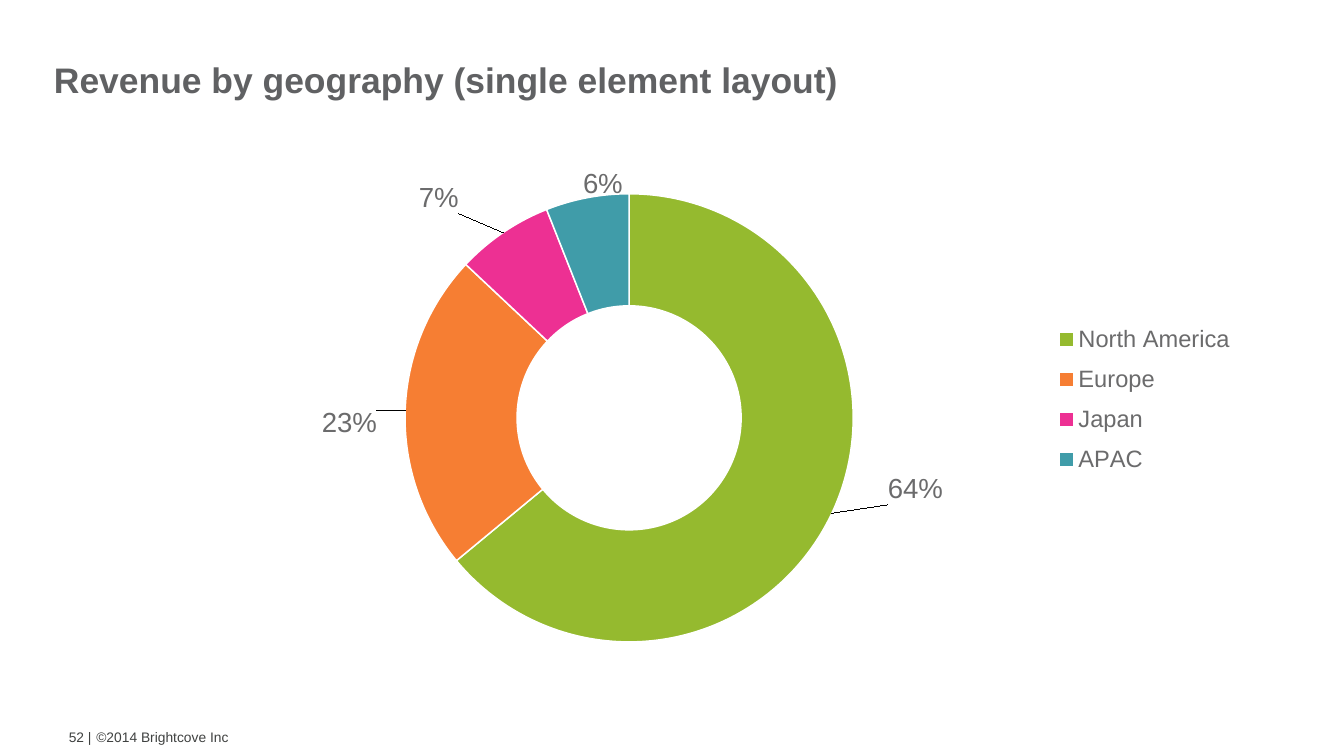
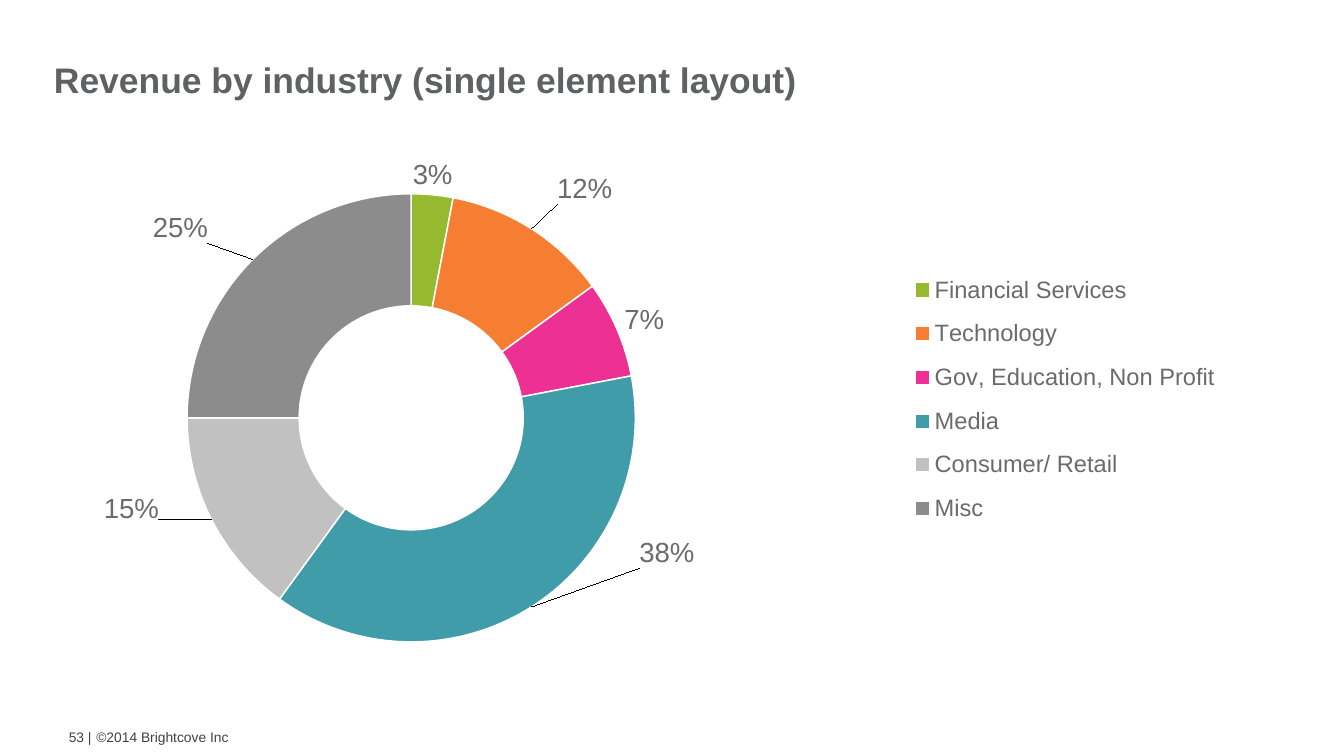
import math

import lxml.etree
import pptx
import pptx.chart.data
import pptx.dml.color
import pptx.enum.chart
import pptx.enum.text
import pptx.oxml.ns
import pptx.util

Inches = pptx.util.Inches
Pt = pptx.util.Pt
RGBColor = pptx.dml.color.RGBColor
qn = pptx.oxml.ns.qn

# Shared look
FONT = "Arial"
TITLE_GRAY = RGBColor(0x60, 0x61, 0x63)
FOOTER_GRAY = RGBColor(0x3F, 0x41, 0x40)
LABEL_GRAY = RGBColor(0x6B, 0x6B, 0x6C)
CHART_GRAY = RGBColor(0x8F, 0x8F, 0x90)
WHITE = RGBColor(0xFF, 0xFF, 0xFF)
SLICE_COLORS = [
    RGBColor(0x95, 0xBA, 0x2F),
    RGBColor(0xF6, 0x7E, 0x33),
    RGBColor(0xED, 0x30, 0x93),
    RGBColor(0x40, 0x9C, 0xA9),
    RGBColor(0xC1, 0xC1, 0xC1),
    RGBColor(0x8C, 0x8C, 0x8C),
]
COPYRIGHT = "©2014 Brightcove Inc"

# Chart geometry in inches
CHART_LEFT, CHART_TOP, CHART_WIDTH, CHART_HEIGHT = 0.59, 1.77, 17.36, 7.72
RING_RADIUS = 3.15
RING_CENTER_Y = 5.9
LABEL_RADIUS = 0.75 * RING_RADIUS

# Slices: name, share, centre of the label on the slide
SLIDES = [
    {
        "title": "Revenue by geography (single element layout)",
        "number": 52,
        "ring_x": 8.89,
        "plot": (0.295, 0.124, 0.364, 0.932),
        "legend": (0.817, 0.342, 0.157, 0.316),
        "slices": [
            ("North America", 0.64, (12.92, 6.91)),
            ("Europe", 0.23, (4.95, 5.98)),
            ("Japan", 0.07, (6.21, 2.81)),
            ("APAC", 0.06, (8.52, 2.61)),
        ],
    },
    {
        "title": "Revenue by industry (single element layout)",
        "number": 53,
        "ring_x": 5.8,
        "plot": (0.118, 0.117, 0.364, 0.932),
        "legend": (0.7, 0.245, 0.262, 0.51),
        "slices": [
            ("Financial Services", 0.03, (6.1, 2.48)),
            ("Technology", 0.12, (8.24, 2.68)),
            ("Gov, Education, Non Profit", 0.07, (9.08, 4.53)),
            ("Media", 0.38, (9.4, 7.8)),
            ("Consumer/ Retail", 0.15, (1.86, 7.18)),
            ("Misc", 0.25, (2.55, 3.23)),
        ],
    },
]


def set_font(font, size, color, bold=False):
    values = {"name": FONT, "size": Pt(size), "bold": bold}
    for name, value in values.items():
        setattr(font, name, value)
    font.color.rgb = color


def format_frame(frame, **values):
    values = {
        "word_wrap": True,
        "vertical_anchor": pptx.enum.text.MSO_ANCHOR.MIDDLE,
        **values,
    }
    for name, value in values.items():
        setattr(frame, name, value)


def place(shape, left, top, width, height):
    values = {"left": left, "top": top, "width": width, "height": height}
    for name, value in values.items():
        setattr(shape, name, Inches(value))


def add_title(page, text):
    title = page.shapes.title
    place(title, 0.59, 0.33, 16.1, 1.59)
    format_frame(
        title.text_frame,
        text=text,
        margin_left=Inches(0.17),
        margin_right=Inches(0.17),
        margin_top=Inches(0.08),
        margin_bottom=Inches(0.08),
    )
    para = title.text_frame.paragraphs[0]
    para.alignment = pptx.enum.text.PP_ALIGN.LEFT
    set_font(para.font, 36, TITLE_GRAY, bold=True)


def add_footer(page, number):
    align = pptx.enum.text.PP_ALIGN
    parts = [
        (COPYRIGHT, 1.26, 6, align.LEFT),
        (f"{number} |", 0.65, 0.74, align.RIGHT),
    ]
    for text, left, width, alignment in parts:
        box = page.shapes.add_textbox(
            Inches(left), Inches(10.11), Inches(width), Inches(0.57)
        )
        format_frame(box.text_frame, text=text)
        para = box.text_frame.paragraphs[0]
        para.alignment = alignment
        set_font(para.font, 14, FOOTER_GRAY)


def add_xml(parent, tag, **attributes):
    return lxml.etree.SubElement(parent, qn(tag), attributes)


def make_layout(**values):
    layout = lxml.etree.Element(qn("c:layout"))
    manual = add_xml(layout, "c:manualLayout")
    for name, value in values.items():
        add_xml(manual, f"c:{name}", val=str(value))
    return layout


def make_area(x, y, w, h, inner=False):
    target = {"layoutTarget": "inner"} if inner else {}
    return make_layout(**target, xMode="edge", yMode="edge", x=x, y=y, w=w, h=h)


def replace_layout(parent, layout, index):
    for old in parent.findall(qn("c:layout")):
        parent.remove(old)
    parent.insert(index, layout)


def add_slice_labels(series, slices, ring_x):
    labels = series.data_labels
    labels.show_value = True
    labels.number_format = "0%"
    labels.number_format_is_linked = False
    set_font(labels.font, 28, LABEL_GRAY)
    for index in range(len(slices)):
        set_font(series.points[index].data_label.font, 28, LABEL_GRAY)

    # Each label is shifted from the middle of its ring segment
    start = 0
    items = series._element.findall(f".//{qn('c:dLbl')}")
    for item, (_, share, (label_x, label_y)) in zip(items, slices):
        angle = 2 * math.pi * (start + share / 2)
        start += share
        shift_x = label_x - ring_x - LABEL_RADIUS * math.sin(angle)
        shift_y = label_y - RING_CENTER_Y + LABEL_RADIUS * math.cos(angle)
        layout = make_layout(
            x=round(shift_x / CHART_WIDTH, 4), y=round(shift_y / CHART_HEIGHT, 4)
        )
        item.insert(1, layout)
        number_format = lxml.etree.Element(
            qn("c:numFmt"), formatCode="0%", sourceLinked="0"
        )
        item.insert(2, number_format)


def add_ring_chart(page, content):
    slices = content["slices"]
    data = pptx.chart.data.CategoryChartData(number_format="0%")
    data.categories = [name for name, _, _ in slices]
    data.add_series("Series 1", [share for _, share, _ in slices])
    frame = page.shapes.add_chart(
        pptx.enum.chart.XL_CHART_TYPE.DOUGHNUT,
        Inches(CHART_LEFT),
        Inches(CHART_TOP),
        Inches(CHART_WIDTH),
        Inches(CHART_HEIGHT),
        data,
    )
    chart = frame.chart
    chart.has_title = False
    set_font(chart.font, 10, CHART_GRAY)

    # Ring
    plot = chart.plots[0]
    plot.vary_by_categories = True
    plot._element.find(qn("c:holeSize")).set("val", "70")
    replace_layout(
        plot._element.getparent(), make_area(*content["plot"], inner=True), 0
    )
    series = plot.series[0]
    for index, color in enumerate(SLICE_COLORS[: len(slices)]):
        style = series.points[index].format
        style.fill.solid()
        style.fill.fore_color.rgb = color
        style.line.color.rgb = WHITE
        style.line.width = Pt(1.5)
    add_slice_labels(series, slices, content["ring_x"])

    # Legend
    chart.has_legend = True
    legend = chart.legend
    legend.position = pptx.enum.chart.XL_LEGEND_POSITION.RIGHT
    legend.include_in_layout = False
    set_font(legend.font, 24, LABEL_GRAY)
    replace_layout(legend._element, make_area(*content["legend"]), 1)


def main():
    deck = pptx.Presentation()
    deck.slide_width = Inches(18.95)
    deck.slide_height = Inches(10.66)
    for content in SLIDES:
        page = deck.slides.add_slide(deck.slide_layouts[5])
        add_title(page, content["title"])
        add_ring_chart(page, content)
        add_footer(page, content["number"])
    deck.save("out.pptx")


if __name__ == "__main__":
    main()
